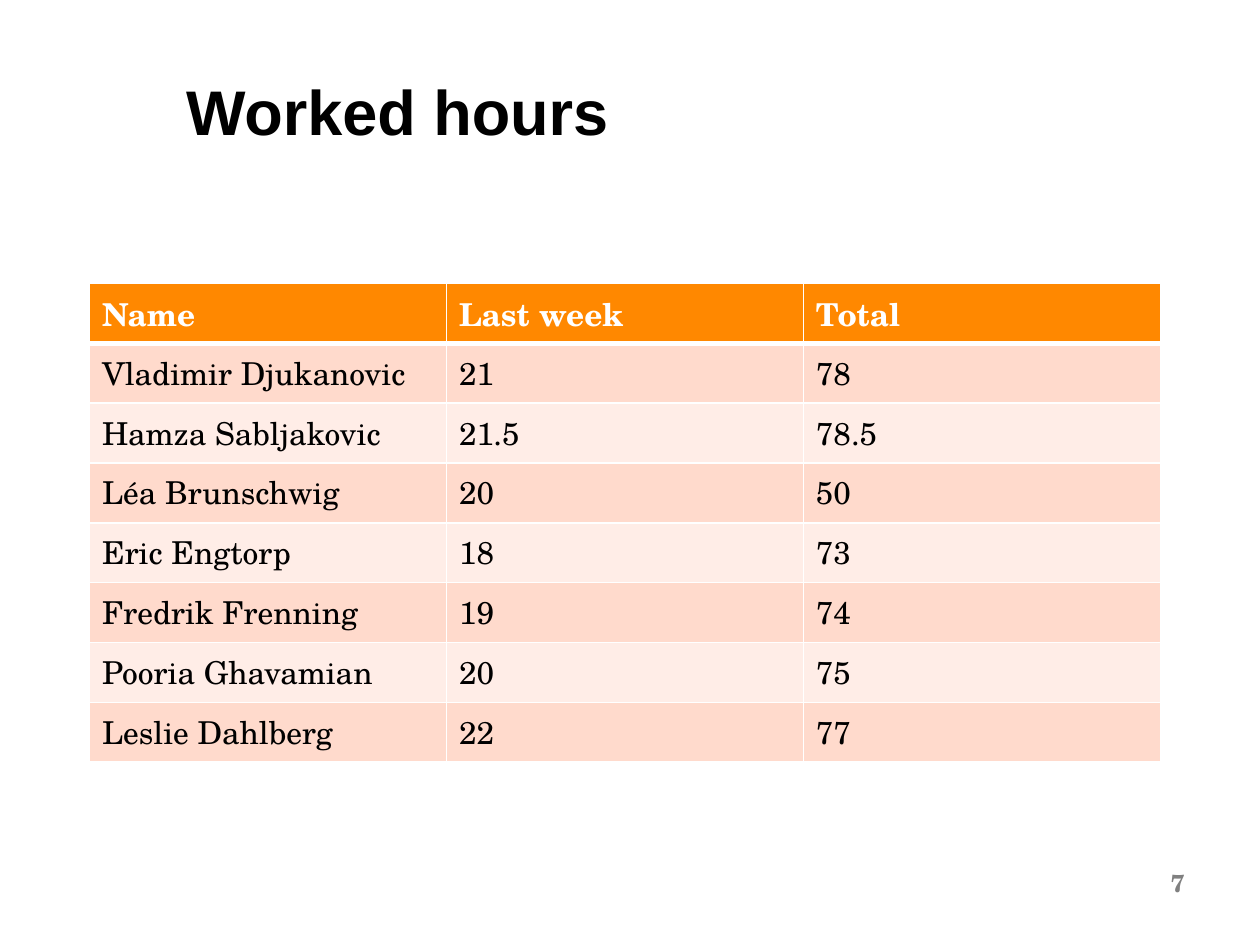
from lxml import etree
from pptx import Presentation
from pptx.dml.color import RGBColor
from pptx.enum import text
from pptx.oxml import ns
from pptx.util import Inches, Pt

WHITE = RGBColor(0xFF, 0xFF, 0xFF)
BLACK = RGBColor(0x00, 0x00, 0x00)
GRAY = RGBColor(0x80, 0x80, 0x80)
ORANGE = RGBColor(0xFF, 0x88, 0x00)
PEACH = RGBColor(0xFF, 0xDA, 0xCC)
PALE_PEACH = RGBColor(0xFF, 0xED, 0xE7)

HEADING_FONT = "Arial"
BODY_FONT = "TeX Gyre Schola"

HOURS = [
    ("Name", "Last week", "Total"),
    ("Vladimir Djukanovic", "21", "78"),
    ("Hamza Sabljakovic", "21.5", "78.5"),
    ("Léa Brunschwig", "20", "50"),
    ("Eric Engtorp", "18", "73"),
    ("Fredrik Frenning", "19", "74"),
    ("Pooria Ghavamian", "20", "75"),
    ("Leslie Dahlberg", "22", "77"),
]


def write_text(frame, content, size=18, font=BODY_FONT, color=BLACK, bold=False,
               align=text.PP_ALIGN.LEFT, line_spacing=None):
    paragraph = frame.paragraphs[0]
    paragraph.alignment = align
    paragraph.line_spacing = line_spacing
    run = paragraph.add_run()
    run.text = content
    run.font.size = Pt(size)
    run.font.name = font
    run.font.bold = bold
    run.font.color.rgb = color


def add_text_box(slide, left, top, width, height, content,
                 anchor=text.MSO_ANCHOR.TOP, **text_format):
    box = slide.shapes.add_textbox(Inches(left), Inches(top), Inches(width), Inches(height))
    box.text_frame.word_wrap = True
    box.text_frame.vertical_anchor = anchor
    write_text(box.text_frame, content, **text_format)


def set_borders(cell, color, **widths):
    """Draw cell borders; widths are points by side, in the order L, R, T, B."""
    properties = cell._tc.get_or_add_tcPr()
    for position, (side, width) in enumerate(widths.items()):
        line = etree.Element(ns.qn(f"a:ln{side}"), w=str(Pt(width)))
        fill = etree.SubElement(line, ns.qn("a:solidFill"))
        etree.SubElement(fill, ns.qn("a:srgbClr"), val=str(color))
        properties.insert(position, line)


def add_hours_table(slide, left, top, width, height, rows):
    table = slide.shapes.add_table(
        len(rows), len(rows[0]), Inches(left), Inches(top), Inches(width), Inches(height)
    ).table
    for row_index, row in enumerate(rows):
        is_header = row_index == 0
        band = PEACH if row_index % 2 else PALE_PEACH
        for column_index, content in enumerate(row):
            cell = table.cell(row_index, column_index)
            cell.fill.solid()
            cell.fill.fore_color.rgb = ORANGE if is_header else band
            write_text(cell.text_frame, content, bold=is_header,
                       color=WHITE if is_header else BLACK)
            set_borders(cell, WHITE, L=1, R=1, T=3 if row_index == 1 else 1,
                        B=3 if is_header else 1)


def main():
    presentation = Presentation()
    presentation.slide_width = Inches(10)
    presentation.slide_height = Inches(7.5)
    slide = presentation.slides.add_slide(presentation.slide_layouts[6])

    add_text_box(slide, 1.38, 0.57, 7.17, 1.4, "Worked hours", size=36,
                 font=HEADING_FONT, bold=True, line_spacing=Pt(40))
    add_hours_table(slide, 0.71, 2.25, 8.5, 3.8, HOURS)
    add_text_box(slide, 8.62, 6.87, 0.88, 0.27, "7", anchor=text.MSO_ANCHOR.MIDDLE,
                 size=14, color=GRAY, bold=True, align=text.PP_ALIGN.RIGHT)

    presentation.save("out.pptx")


if __name__ == "__main__":
    main()
